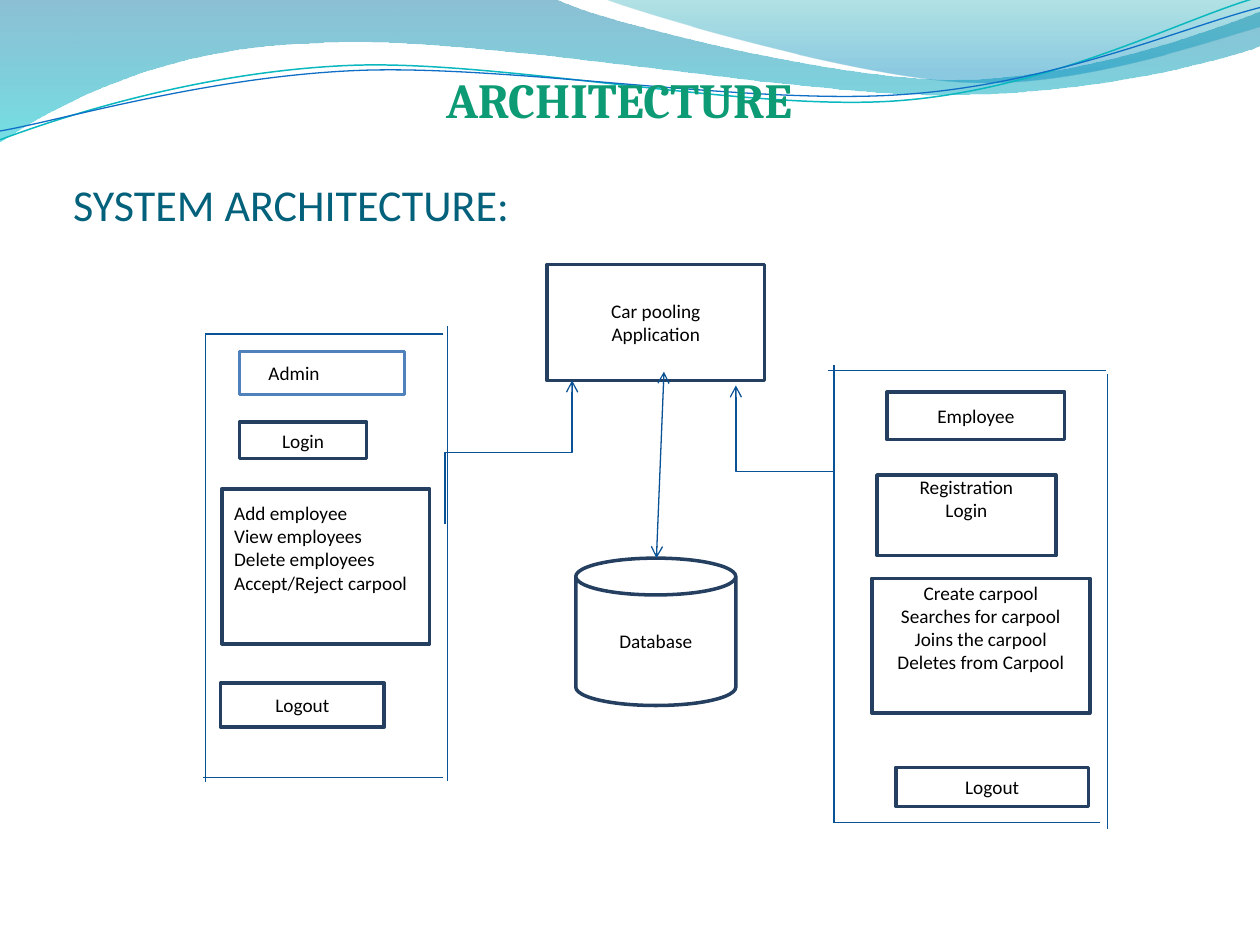
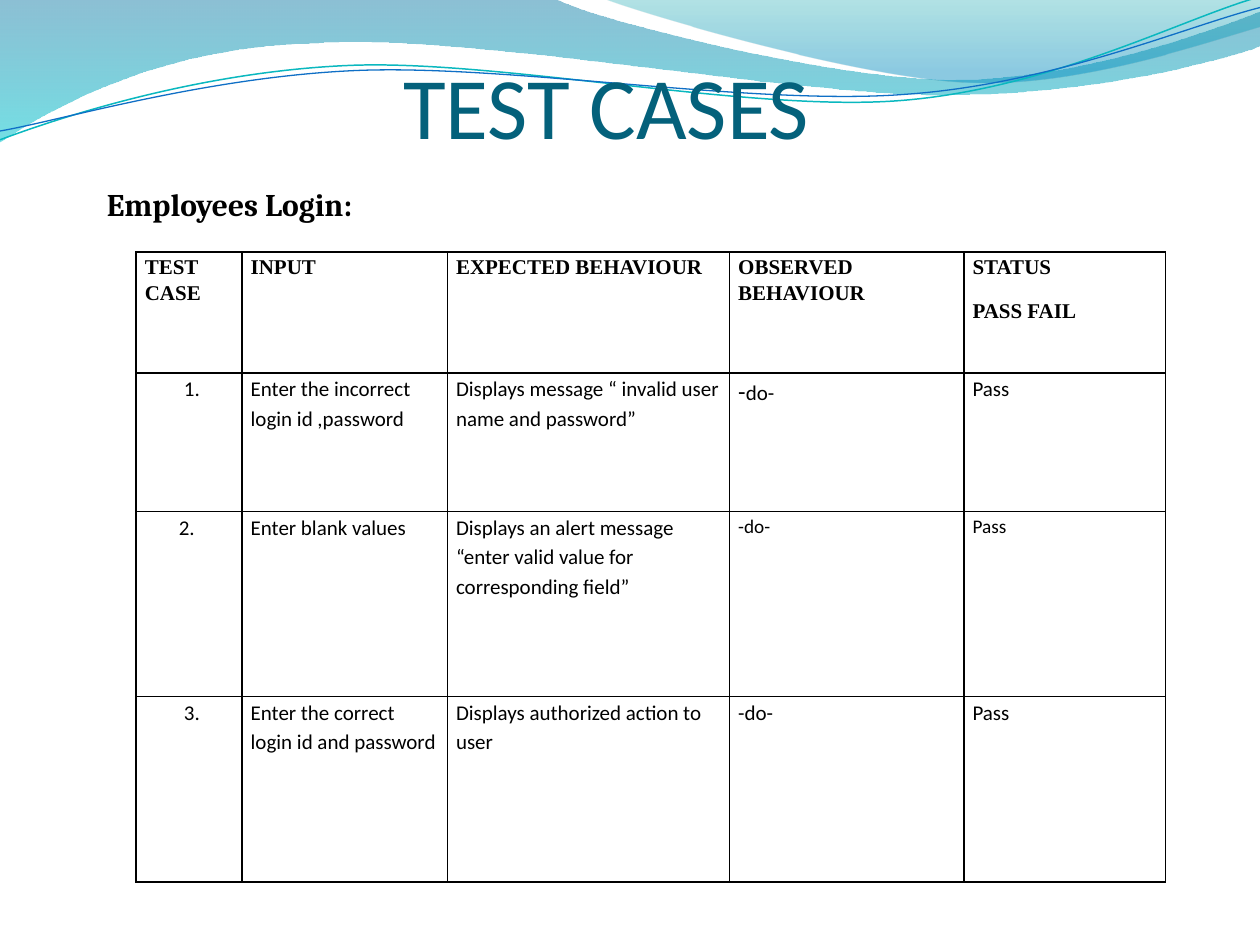
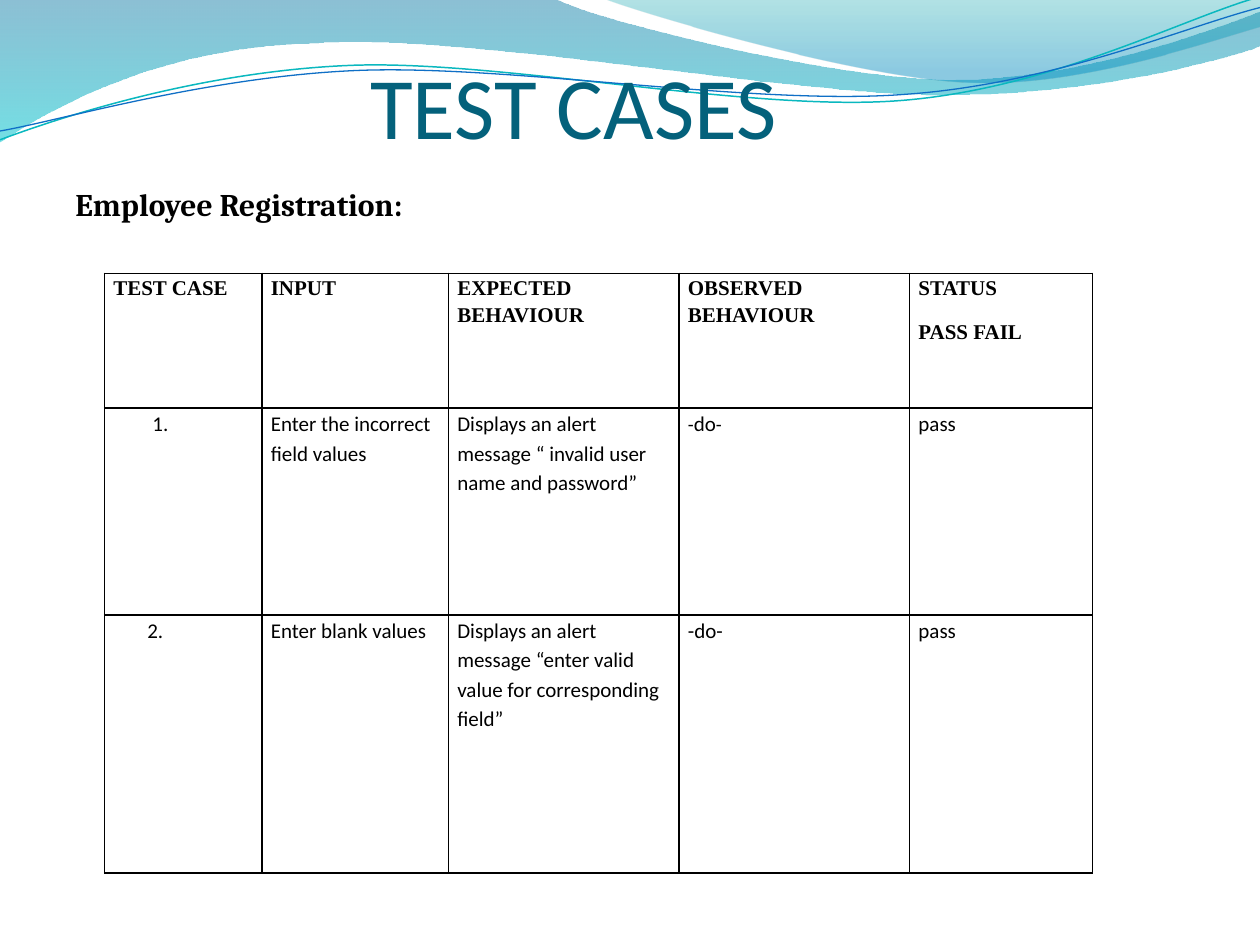
import pptx
import pptx.util
import pptx.dml.color
import pptx.enum.text
import pptx.enum.shapes
import pptx.oxml
import pptx.oxml.ns
from lxml import etree

RGB = pptx.dml.color.RGBColor
Inch, Pt = pptx.util.Inches, pptx.util.Pt
Align, Anchor = pptx.enum.text.PP_ALIGN, pptx.enum.text.MSO_ANCHOR
Shape = pptx.enum.shapes.MSO_SHAPE
Link = pptx.enum.shapes.MSO_CONNECTOR
qn = pptx.oxml.ns.qn

BLACK, WHITE = RGB(0, 0, 0), RGB(255, 255, 255)
TITLE, GREEN = RGB(0x04, 0x61, 0x7B), RGB(0x0C, 0x9B, 0x74)
NAVY, BLUE = RGB(0x24, 0x3F, 0x60), RGB(0x4F, 0x81, 0xBD)
LINE = RGB(0x09, 0x52, 0x95)
TEAL, SKY = RGB(0x0A, 0xB8, 0xBF), RGB(0x0F, 0x6F, 0xC6)
DEEP, AQUA = RGB(0, 0x74, 0xA1), RGB(0, 0xC6, 0xCF)
MINT, AZURE = RGB(0, 0xA1, 0xA9), RGB(0, 0x8B, 0xBF)

# Header waves: two numbers make a line, six a curve
BANDS = [
    ((0, 0), [(4.4, -0.01), (4.76, 0.17, 6.64, 0.63, 7.58, 0.63),
              (8.53, 0.63, 9.58, 0.26, 10, 0.09), (10.01, 0.36),
              (9.83, 0.44, 8.7, 0.76, 7.46, 0.75),
              (6.22, 0.75, 3.82, 0.28, 2.57, 0.34),
              (1.29, 0.36, 0.46, 0.83, -0.01, 1.13)],
     [(0, DEEP, 45), (1, AQUA, 55)]),
    ((4.79, -0.01), [(5.09, 0.11, 6.82, 0.62, 7.69, 0.65),
                     (8.56, 0.69, 9.61, 0.32, 10, 0.21), (10, 0)],
     [(0, MINT, 30), (0.8, AZURE, 45)]),
]
WAVES = [
    ((0, 1.11), [(0.48, 0.93, 1.58, 0.57, 2.77, 0.52),
                 (3.95, 0.47, 5.93, 0.89, 7.13, 0.8),
                 (8.33, 0.71, 9.38, 0.15, 9.98, -0.02)], TEAL, 0.85),
    ((0, 1.04), [(0.47, 0.96, 1.64, 0.61, 2.83, 0.56),
                 (4.03, 0.51, 5.97, 0.84, 7.17, 0.75),
                 (8.36, 0.67, 9.41, 0.21, 10, 0.06)], SKY, 0.75),
]

# Diagram: place, lines of text, then what differs from a plain box
PAD = (0.1, 0.05, 0.1, 0.05)
TOP = Anchor.TOP
BOXES = [
    ((4.57, 4.43, 1.27, 1.17), ["Database"], {"kind": Shape.CAN}),
    ((4.34, 2.1, 1.73, 0.92), ["Car pooling", "Application"], {}),
    ((1.9, 3.35, 1.01, 0.29), ["Login"], {}),
    ((1.76, 3.88, 1.65, 1.23),
     ["Add employee", "View employees", "Delete employees", "Accept/Reject carpool"],
     {"align": Align.LEFT, "anchor": TOP, "pad": (0.1, 0.1, 0.1, 0)}),
    ((1.9, 2.79, 1.31, 0.34), ["Admin"],
     {"edge": BLUE, "align": Align.LEFT, "pad": (0.23, 0.05, 0.1, 0.05)}),
    ((7.04, 3.11, 1.41, 0.38), ["Employee"], {}),
    ((6.96, 3.77, 1.42, 0.64), ["Registration", "Login"],
     {"anchor": TOP, "pad": (0.1, 0, 0.1, 0)}),
    ((6.92, 4.59, 1.73, 1.07),
     ["Create carpool", "Searches for carpool", "Joins the carpool", "Deletes from Carpool"],
     {"anchor": TOP, "pad": (0.1, 0.02, 0.1, 0)}),
    ((1.75, 5.42, 1.3, 0.35), ["Logout"], {}),
    ((7.11, 6.09, 1.53, 0.31), ["Logout"], {}),
]
FRAMES = [
    (1.63, 2.65, 1.63, 6.21), (3.52, 2.65, 1.63, 2.65), (3.55, 2.59, 3.55, 6.2),
    (1.61, 6.17, 3.52, 6.17), (6.57, 2.94, 8.78, 2.94), (6.62, 2.9, 6.62, 6.53),
    (6.62, 6.53, 8.73, 6.53), (8.79, 2.97, 8.79, 6.58),
]
BENDS = [(3.53, 4.16, 4.54, 3.02), (6.62, 4.42, 5.84, 3.06)]
DUPLEX = (5.27, 2.95, 5.21, 4.43)

# Test tables: a cell is a list of lines, a line is a list of (text, size)
HEAD = ["TEST CASE", "INPUT", "EXPECTED BEHAVIOUR", "OBSERVED BEHAVIOUR",
        ["STATUS", "PASS FAIL"]]
BLANK = "Displays an alert message “enter valid value for corresponding field”"
TESTS = [
    {"name": "Employees Login:", "spot": (0.75, 1.42, 3, 0.4),
     "title": (1, 2.2), "at": (1.08, 2),
     "cols": [0.84, 1.63, 2.24, 1.86, 1.6], "rows": [0.96, 1.1, 1.47, 1.47],
     "body": [
         ["1.", "Enter the incorrect login id ,password",
          "Displays message “ invalid user name and password”",
          [[("-", 14), ("do-", 12)]], "Pass"],
         ["2.", "Enter blank values", BLANK, [[("-do-", 11)]], [[("Pass", 11)]]],
         ["3.", "Enter the correct login id and password",
          "Displays authorized action to user", "-do-", "Pass"]]},
    {"name": "Employee Registration:", "spot": (0.5, 1.42, 3.67, 0.4),
     "title": (0.58, 2.36), "at": (0.83, 2.17),
     "cols": [1.25, 1.48, 1.83, 1.83, 1.45], "rows": [1.07, 1.64, 2.05],
     "body": [
         ["1.", "Enter the incorrect field values",
          "Displays an alert message “ invalid user name and password”",
          [[("-", 11), ("do", 12), ("-", 11)]], "pass"],
         ["2.", "Enter blank values", BLANK, "-do-", "pass"]]},
]


def write(box, text, size=11, font="Calibri", color=BLACK, bold=False,
          align=Align.LEFT, anchor=Anchor.MIDDLE, pad=PAD, lead=None, after=None):
    """Fill a shape or a table cell with formatted text."""
    frame = box.text_frame
    frame.word_wrap = True
    hold = frame if hasattr(box, "shape_type") else box
    hold.margin_left, hold.margin_top, hold.margin_right, hold.margin_bottom = map(Inch, pad)
    hold.vertical_anchor = anchor
    for n, line in enumerate([text] if isinstance(text, str) else text):
        para = frame.add_paragraph() if n else frame.paragraphs[0]
        para.alignment = align
        if lead:
            para.line_spacing, para.space_after = lead, Pt(after)
        for part, high in [(line, size)] if isinstance(line, str) else line:
            run = para.add_run()
            run.text = part
            run.font.size, run.font.name, run.font.bold = Pt(high), font, bold
            run.font.color.rgb = color


def label(slide, spot, text, **look):
    write(slide.shapes.add_textbox(*map(Inch, spot)), text, **look)


def title(slide, spot, text, size, left=0):
    label(slide, spot, text, size=size, color=TITLE, anchor=Anchor.BOTTOM,
          pad=(left, 0.05, 0, 0))


def curve(slide, start, steps, close):
    """Draw a freeform, then join each three points of a curve into one cubic."""
    dots = [(Inch(s[i]), Inch(s[i + 1])) for s in steps for i in range(0, len(s), 2)]
    pen = slide.shapes.build_freeform(*map(Inch, start))
    pen.add_line_segments(dots, close=close)
    shape = pen.convert_to_shape()
    shape.shadow.inherit = False
    legs = list(shape.element.iter(qn("a:lnTo")))
    for step in steps:
        used, legs = legs[:len(step) // 2], legs[len(step) // 2:]
        if len(used) == 3:
            cubic = etree.Element(qn("a:cubicBezTo"))
            used[0].addprevious(cubic)
            for leg in used:
                cubic.append(leg[0])
                leg.getparent().remove(leg)
    return shape


def header(slide):
    """Draw the waves and move them to the layout that all slides share."""
    shapes = []
    for start, steps, stops in BANDS:
        band = curve(slide, start, steps, True)
        band.line.fill.background()
        band.fill.gradient()
        band.fill.gradient_angle = 270
        for stop, (place, color, _) in zip(band.fill.gradient_stops, stops):
            stop.position, stop.color.rgb = place, color
        tints = band.element.spPr.iter(qn("a:srgbClr"))
        for tint, (_, _, alpha) in zip(tints, stops):
            etree.SubElement(tint, qn("a:alpha"), val=str(alpha * 1000))
        shapes.append(band)
    for start, steps, color, width in WAVES:
        wave = curve(slide, start, steps, False)
        wave.fill.background()
        wave.line.color.rgb, wave.line.width = color, Pt(width)
        shapes.append(wave)
    tree = slide.slide_layout.shapes.element
    for spare in list(slide.slide_layout.placeholders):
        tree.remove(spare.element)
    for shape in shapes:
        tree.append(shape.element)


def block(slide, spot, text, kind=Shape.RECTANGLE, edge=NAVY, align=Align.CENTER, **look):
    shape = slide.shapes.add_shape(kind, *map(Inch, spot))
    shape.shadow.inherit = False
    shape.fill.solid()
    shape.fill.fore_color.rgb = WHITE
    shape.line.color.rgb, shape.line.width = edge, Pt(2)
    write(shape, text, align=align, **look)


def wire(slide, ends, kind=Link.STRAIGHT, tips=()):
    link = slide.shapes.add_connector(kind, *map(Inch, ends))
    link.line.color.rgb, link.line.width = LINE, Pt(0.75)
    stroke = link.element.spPr.find(qn("a:ln"))
    for tip in tips:
        etree.SubElement(stroke, qn("a:" + tip), type="arrow")
    etree.SubElement(link.element.spPr, qn("a:effectLst"))
    return link


def bend(slide, ends):
    """Draw an elbow that leaves upright, as a quarter-turned connector."""
    x1, y1, x2, y2 = ends
    midx, midy = (x1 + x2) / 2, (y1 + y2) / 2
    turn = 1 if x2 > x1 else -1
    dx, dy = turn * (y1 - midy), turn * (midx - x1)
    link = wire(slide, (midx + dx, midy + dy, midx - dx, midy - dy),
                Link.ELBOW, ["tailEnd"])
    link.element.spPr.find(qn("a:xfrm")).set("rot", str(turn % 4 * 5400000))


def border(cell):
    props = cell._tc.get_or_add_tcPr()
    for n, side in enumerate(("lnL", "lnR", "lnT", "lnB")):
        edge = etree.Element(qn("a:" + side), w=str(Pt(1)))
        fill = etree.SubElement(edge, qn("a:solidFill"))
        etree.SubElement(fill, qn("a:srgbClr"), val=str(BLACK))
        props.insert(n, edge)


def grid(slide, test):
    cols, rows = test["cols"], test["rows"]
    area = (*test["at"], sum(cols), sum(rows))
    table = slide.shapes.add_table(len(rows), len(cols), *map(Inch, area)).table
    table.first_row = table.horz_banding = False
    for col, width in zip(table.columns, cols):
        col.width = Inch(width)
    for row, height in zip(table.rows, rows):
        row.height = Inch(height)
    for r, line in enumerate([HEAD] + test["body"]):
        for c, text in enumerate(line):
            cell = table.cell(r, c)
            left = 0.07
            if r and not c:
                left = 0.34 if text == "2." else 0.38
            write(cell, text, size=12, font="Calibri" if r else "Times New Roman",
                  bold=not r, anchor=TOP, pad=(left, 0, 0.07, 0), lead=1.15, after=10)
            cell.fill.background()
            border(cell)


def main():
    deck = pptx.Presentation()
    deck.slide_width, deck.slide_height = Inch(10), Inch(7.5)
    blank = deck.slide_layouts[6]

    # Architecture
    slide = deck.slides.add_slide(blank)
    header(slide)
    title(slide, (0.58, 1.24, 9.08, 0.59), "SYSTEM ARCHITECTURE:", 25.2)
    label(slide, (2.58, 0.5, 6.08, 0.57), "ARCHITECTURE", size=28, font="Cambria",
          color=GREEN, bold=True, pad=(0.96, 0.05, 0.1, 0.05))
    for spot, text, look in BOXES:
        block(slide, spot, text, **look)
    for ends in FRAMES:
        wire(slide, ends)
    for ends in BENDS:
        bend(slide, ends)
    wire(slide, DUPLEX, tips=["headEnd", "tailEnd"])

    # Test cases
    for test in TESTS:
        slide = deck.slides.add_slide(blank)
        left, shift = test["title"]
        title(slide, (left, 0, 9, 1.25), "TEST CASES", 50, shift)
        grid(slide, test)
        label(slide, test["spot"], test["name"], size=18, font="Cambria",
              bold=True, anchor=TOP)

    deck.save("out.pptx")


if __name__ == "__main__":
    main()
